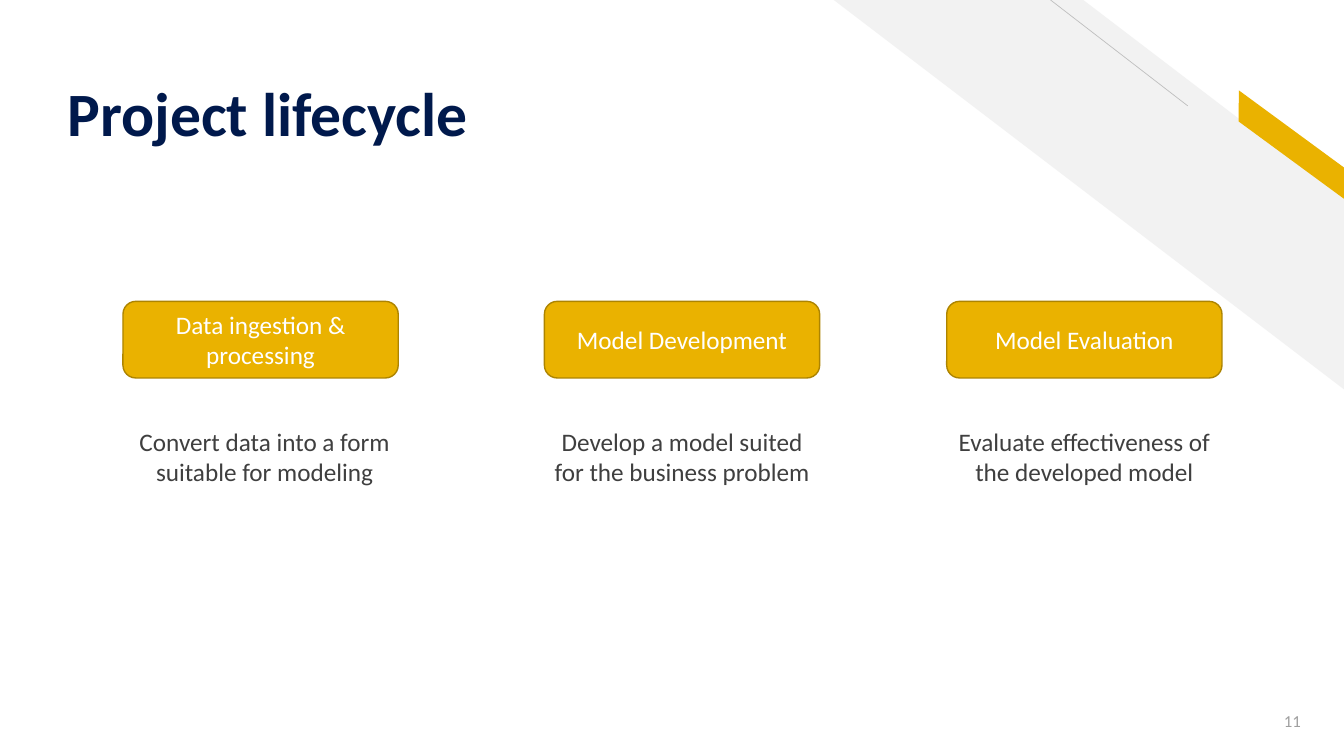
import pptx
import pptx.dml.color
import pptx.enum.shapes
import pptx.enum.text
import pptx.oxml.ns
import pptx.util

Inches = pptx.util.Inches
Pt = pptx.util.Pt
SHAPE = pptx.enum.shapes.MSO_SHAPE
ALIGN = pptx.enum.text.PP_ALIGN
ANCHOR = pptx.enum.text.MSO_ANCHOR

COLORS = {
    "navy": "00194C", "gold": "EAB200", "gold_edge": "AD8400", "band": "F2F2F2",
    "hairline": "BFBFBF", "body": "3F3F3F", "number": "9F9F9F", "white": "FFFFFF",
}
FONTS = {
    "title": {"name": "Calibri", "size": Pt(44), "bold": True},
    "body": {"name": "Calibri", "size": Pt(18)},
    "number": {"name": "Calibri", "size": Pt(12)},
}
STAGES = [
    (1.22, 1.26, "Data ingestion & processing", "Convert data into a form suitable for modeling"),
    (5.4, 5.4, "Model Development", "Develop a model suited for the business problem"),
    (9.39, 9.39, "Model Evaluation", "Evaluate effectiveness of the developed model"),
]


def rgb(color):
    """Return the named colour as an RGB value."""
    return pptx.dml.color.RGBColor.from_string(COLORS[color])


def write(holder, text, style, color, align, anchor, **frame_format):
    """Fill a shape or text box with one formatted paragraph."""
    frame = holder.text_frame
    frame_values = {"word_wrap": True, "vertical_anchor": anchor, **frame_format}
    for name, value in frame_values.items():
        setattr(frame, name, value)
    paragraph = frame.paragraphs[0]
    paragraph.text = text
    paragraph.alignment = align
    for name, value in FONTS[style].items():
        setattr(paragraph.font, name, value)
    paragraph.font.color.rgb = rgb(color)
    return paragraph


def add_filled(slide, preset, box, fill, edge=None):
    """Add a flat preset shape with an optional one-point edge."""
    shape = slide.shapes.add_shape(preset, *map(Inches, box))
    shape.shadow.inherit = False
    shape.fill.solid()
    shape.fill.fore_color.rgb = rgb(fill)
    if edge:
        shape.line.color.rgb = rgb(edge)
        shape.line.width = Pt(1)
    else:
        shape.line.fill.background()
    return shape


def add_mirrored(slide, preset, box, fill, adjustment, rotation=0):
    """Add a horizontally flipped decorative shape."""
    shape = add_filled(slide, preset, box, fill)
    shape.adjustments[0] = adjustment
    shape.rotation = rotation
    shape._element.spPr.find(pptx.oxml.ns.qn("a:xfrm")).set("flipH", "1")


def add_corner(slide, left, top, width, height):
    """Draw the diagonal band, hairline and gold bar in the corner."""
    add_mirrored(slide, SHAPE.DIAGONAL_STRIPE, (left, top, width, height), "band", 0.512)
    hairline = slide.shapes.add_connector(
        pptx.enum.shapes.MSO_CONNECTOR.STRAIGHT,
        Inches(left + 3.51), Inches(top + 1.05), Inches(left + 2.15), Inches(top))
    hairline.line.color.rgb = rgb("hairline")
    hairline.line.width = Pt(0.5)
    properties = hairline._element.spPr
    properties.append(properties.makeelement(pptx.oxml.ns.qn("a:effectLst"), {}))
    add_mirrored(slide, SHAPE.PARALLELOGRAM, (left + 3.8, top + 1.31, 1.48, 0.25),
                 "gold", 0.72, 36.3)


def add_title(slide, left, top, width, height):
    """Write the slide title at the foot of its box."""
    title = slide.shapes.add_textbox(*map(Inches, (left, top, width, height)))
    paragraph = write(title, "Project lifecycle", "title", "navy", ALIGN.LEFT,
                      ANCHOR.BOTTOM, margin_bottom=0)
    paragraph.line_spacing = 0.9


def add_stages(slide, top, width):
    """Place each stage label with its description below."""
    for label_left, description_left, name, summary in STAGES:
        label = add_filled(slide, SHAPE.ROUNDED_RECTANGLE,
                           (label_left, top, width, 0.76), "gold", "gold_edge")
        write(label, name, "body", "white", ALIGN.CENTER, ANCHOR.MIDDLE)
        description = slide.shapes.add_textbox(
            *map(Inches, (description_left, top + 1.19, width, 0.71)))
        write(description, summary, "body", "body", ALIGN.CENTER, ANCHOR.TOP)


def add_page_number(slide, left, top, width, height):
    """Write the page number at the right of its box."""
    number = slide.shapes.add_textbox(*map(Inches, (left, top, width, height)))
    write(number, "11", "number", "number", ALIGN.RIGHT, ANCHOR.MIDDLE)


def main():
    """Build and save the lifecycle slide."""
    deck = pptx.Presentation()
    deck.slide_width, deck.slide_height = Inches(13.33), Inches(7.5)
    slide = deck.slides.add_slide(deck.slide_layouts[6])
    add_corner(slide, 8.27, 0, 5.07, 3.87)
    add_page_number(slide, 12.19, 6.95, 0.81, 0.4)
    add_title(slide, 0.57, 0.23, 9.11, 1.26)
    add_stages(slide, 2.99, 2.73)
    deck.save("out.pptx")


if __name__ == "__main__":
    main()
